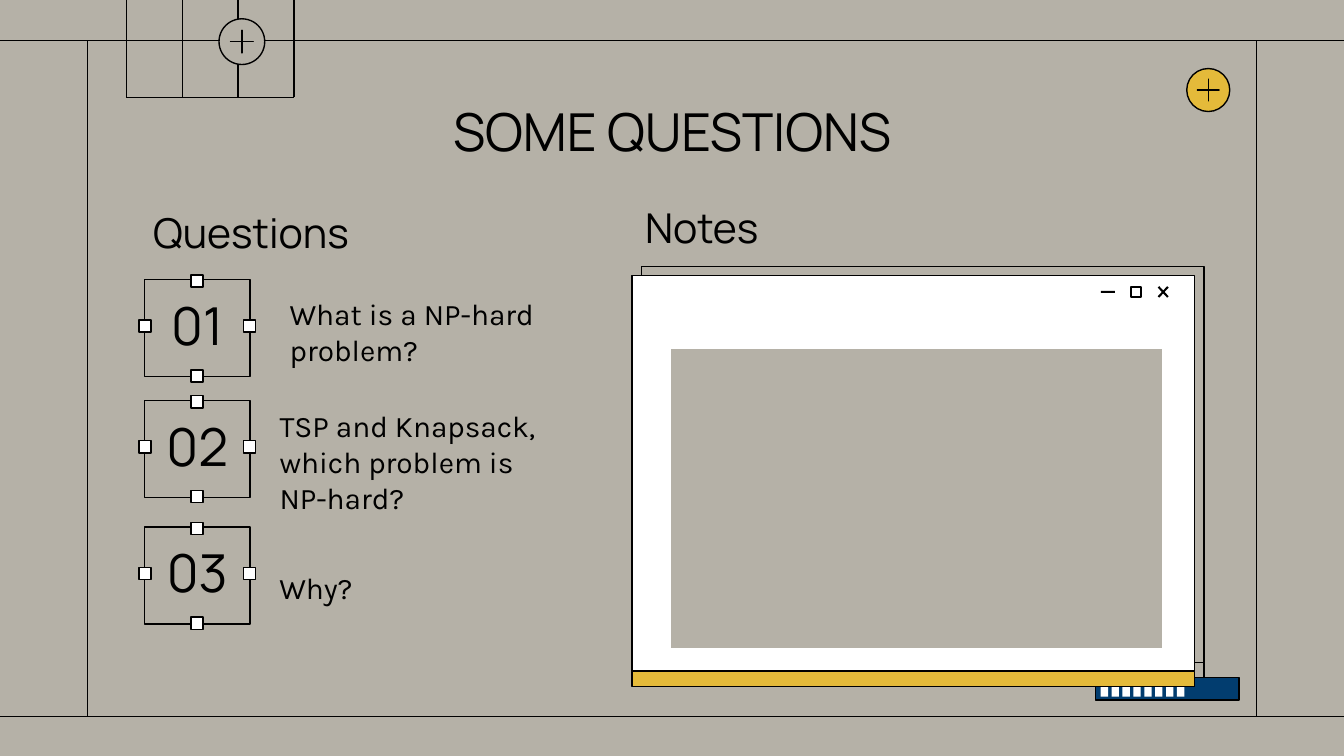
from lxml.etree import SubElement
from pptx import Presentation
from pptx.dml.color import RGBColor
from pptx.enum.shapes import MSO_CONNECTOR, MSO_SHAPE
from pptx.enum.text import MSO_ANCHOR, MSO_AUTO_SIZE, PP_ALIGN
from pptx.oxml.ns import qn
from pptx.util import Inches, Pt

STONE = RGBColor(0xB5, 0xB1, 0xA7)
GOLD = RGBColor(0xE4, 0xBA, 0x3A)
NAVY = RGBColor(0x02, 0x3D, 0x6F)
WHITE = RGBColor(0xFF, 0xFF, 0xFF)
BLACK = RGBColor(0, 0, 0)
RECT, OVAL, PLUS = MSO_SHAPE.RECTANGLE, MSO_SHAPE.OVAL, MSO_SHAPE.MATH_PLUS
LEFT, MID = PP_ALIGN.LEFT, PP_ALIGN.CENTER
HIGH, HALF = MSO_ANCHOR.TOP, MSO_ANCHOR.MIDDLE

deck = Presentation()
deck.slide_width = Inches(10)
deck.slide_height = deck.slide_width * 9 // 16
COL = deck.slide_width / 100
ROW = deck.slide_height / 56.25
slide = deck.slides.add_slide(deck.slide_layouts[4])
slide.background.fill.solid()
slide.background.fill.fore_color.rgb = STONE


def draw(kind, x, y, w, h, fill=None, edge=BLACK, width=0.75):
    shape = slide.shapes.add_shape(kind, int(x * COL), int(y * ROW), int(w * COL), int(h * ROW))
    shape.shadow.inherit = False
    if fill is None:
        shape.fill.background()
    else:
        shape.fill.solid()
        shape.fill.fore_color.rgb = fill
    if edge is None:
        shape.line.fill.background()
    else:
        shape.line.color.rgb = edge
        shape.line.width = Pt(width)
    return shape


def rule(x1, y1, x2, y2, width=0.75):
    line = slide.shapes.add_connector(
        MSO_CONNECTOR.STRAIGHT, int(x1 * COL), int(y1 * ROW), int(x2 * COL), int(y2 * ROW))
    line.line.color.rgb = BLACK
    line.line.width = Pt(width)
    SubElement(line._element.spPr, qn("a:effectLst"))


draw(RECT, 81.5, 50.4, 10.7, 1.7, NAVY)
for i in range(8):
    draw(RECT, 81.9 + 0.81 * i, 50.7, 0.55, 1.15, WHITE, None)

for y in (3, 53.3):
    rule(0, y, 100, y)
for x in (6.5, 93.5):
    rule(x, 53.3, x, 3)
for i in range(4):
    rule(9.4 + 4.16 * i, 0, 9.4 + 4.16 * i, 7.25)
rule(9.4, 7.25, 21.88, 7.25)

for x, y, size, pad, fill in ((16.3, 1.4, 3.4, 0.55, STONE), (88.3, 5.1, 3.2, 0.5, GOLD)):
    draw(OVAL, x, y, size, size, fill)
    plus = draw(PLUS, x + pad, y + pad, size - 2 * pad, size - 2 * pad, BLACK)
    plus.adjustments[0] = 0

for x, y, face, foot in ((47.73, 19.83, None, None), (47.03, 20.5, WHITE, GOLD)):
    draw(RECT, x, y, 41.85, 29.45, face)
    draw(RECT, x, y + 29.45, 41.85, 1.15, foot)
draw(RECT, 81.9, 21.65, 1.05, 0.15, BLACK, None)
draw(RECT, 84.15, 21.35, 0.75, 0.75, width=1.1)
rule(86.2, 21.35, 86.9, 22.1, 1.1)
rule(86.9, 21.35, 86.2, 22.1, 1.1)
draw(RECT, 49.8, 25.8, 36.8, 22.6, STONE, WHITE, 2)

title, head, first, notes, second = slide.placeholders
third = slide.shapes.add_textbox(0, 0, 0, 0)
texts = [
    (title, (15.3, 6.6, 69.4, 6.3), "SOME QUESTIONS", 28, "Manrope", MID, HALF),
    (head, (10.4, 15.1, 20.9, 4.4), "Questions", 22, "Manrope", LEFT, HALF),
    (notes, (47, 14.7, 20.9, 4.4), "Notes", 22, "Manrope", LEFT, HALF),
    (first, (20.55, 22.3, 22.6, 4.7), "What is a NP-hard problem?", 16, "Karla", LEFT, HALF),
    (second, (19.8, 32, 21.8, 4.7), "TSP and Knapsack, which problem is NP-hard?", 16, "Karla", LEFT, HALF),
    (third, (19.8, 41.4, 21.8, 4.7), "Why?", 16, "Karla", LEFT, HALF),
]

for num, y in (("01", 20.82), ("02", 29.8), ("03", 39.22)):
    area = (10.74, y, 7.87, 7.2)
    texts.append((draw(RECT, *area), area, num, 28, "Manrope", MID, HIGH))
    for dx, dy in ((3.5, -0.35), (3.5, 6.7), (-0.35, 3), (7.4, 3)):
        draw(RECT, 10.7 + dx, y + dy, 0.9, 0.9, WHITE)

for shape, (x, y, w, h), text, size, face, align, anchor in texts:
    shape.left, shape.top = int(x * COL), int(y * ROW)
    shape.width, shape.height = int(w * COL), int(h * ROW)
    frame = shape.text_frame
    frame.text = text
    frame.word_wrap = True
    frame.auto_size = MSO_AUTO_SIZE.NONE
    frame.vertical_anchor = anchor
    frame.margin_left = frame.margin_right = Inches(0.1)
    frame.margin_top = frame.margin_bottom = Inches(0.1)
    para = frame.paragraphs[0]
    props = para._p.get_or_add_pPr()
    props.set("marL", "0")
    props.set("indent", "0")
    SubElement(props, qn("a:buNone"))
    para.alignment = align
    para.space_before = Pt(0)
    para.font.name = face
    para.font.size = Pt(size)
    para.font.bold = False
    para.font.color.rgb = BLACK

deck.save("out.pptx")
